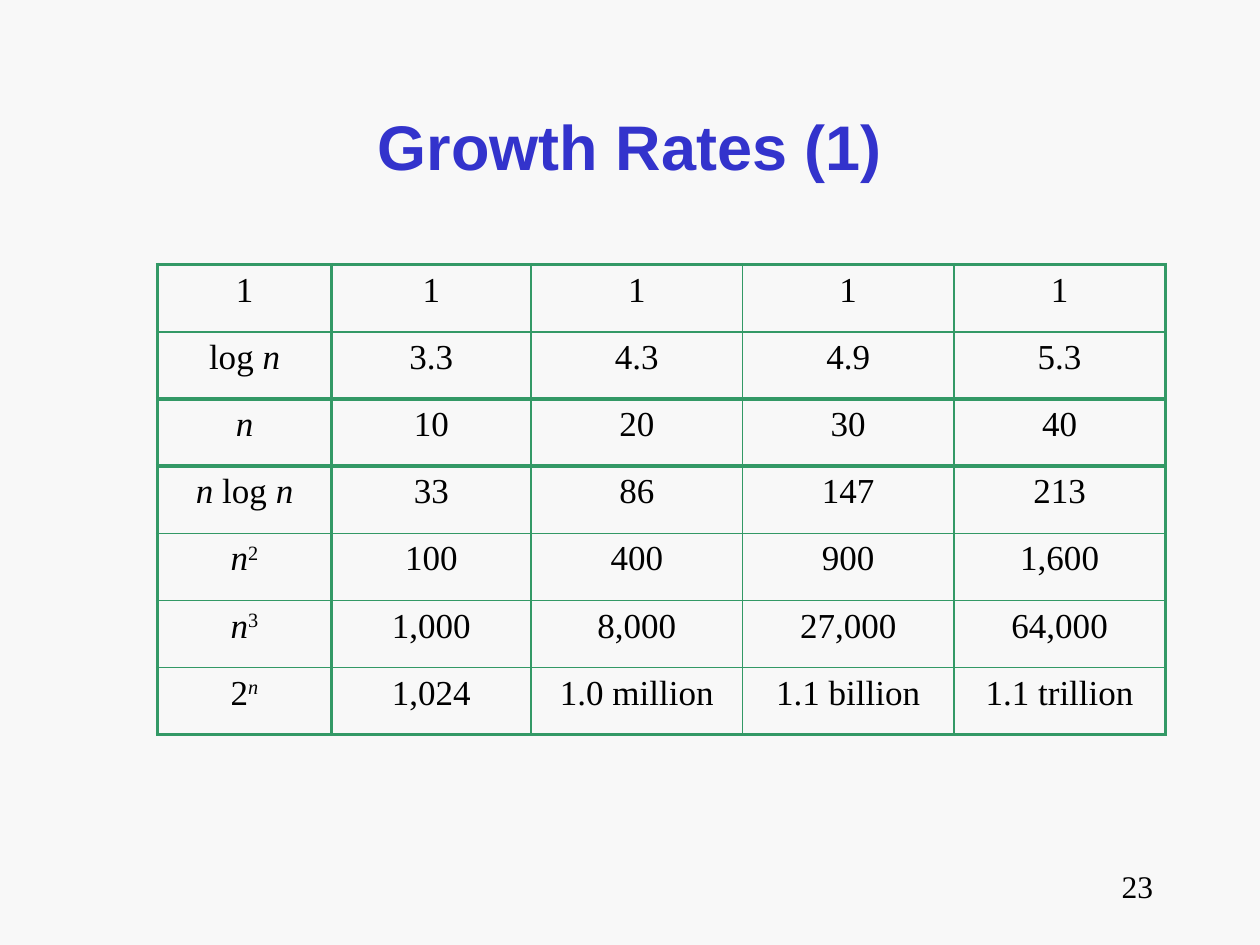
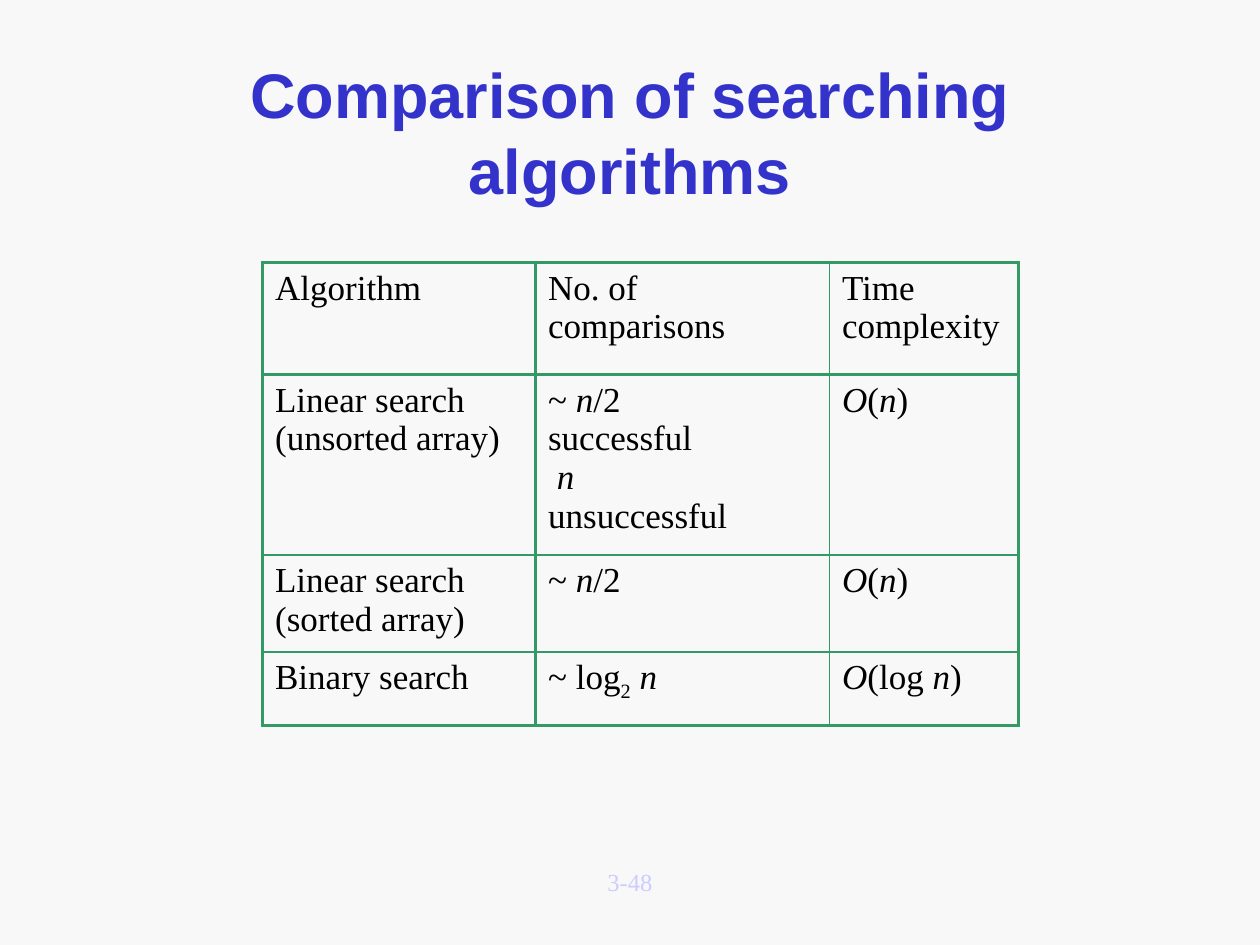
from dataclasses import dataclass

from lxml import etree
from pptx import Presentation
from pptx.dml.color import RGBColor
from pptx.enum.text import MSO_ANCHOR, PP_ALIGN
from pptx.oxml.ns import qn
from pptx.util import Pt

LEFT, CENTER, RIGHT = PP_ALIGN.LEFT, PP_ALIGN.CENTER, PP_ALIGN.RIGHT
TOP, MIDDLE = MSO_ANCHOR.TOP, MSO_ANCHOR.MIDDLE

# Shared look
PAPER, BLUE, GREEN, BLACK, PALE = "F8F8F8", "3333CC", "339966", "000000", "CCCCFF"
SANS, SERIF = "Arial", "Times New Roman"
THIN, THICK = 1, 2.25
RAISE = {"^": 30000, "_": -25000}


@dataclass
class Font:
    name: str
    size: float
    color: str
    bold: bool = False


@dataclass
class Label:
    text: str
    left: float
    top: float
    width: float
    height: float
    font: Font
    align: int
    anchor: int = TOP


@dataclass
class Grid:
    left: float
    top: float
    cols: list[float]
    rows: list[float]
    thick_x: set[int]
    thick_y: set[int]
    align: int
    cells: list[list[str]]


TITLE = Font(SANS, 36, BLUE, True)
BODY = Font(SERIF, 20, BLACK)


def paint(code: str) -> RGBColor:
    return RGBColor.from_string(code)


def style(run, font: Font) -> None:
    run.font.name, run.font.size, run.font.bold = font.name, Pt(font.size), font.bold
    run.font.color.rgb = paint(font.color)


def add_label(slide, label: Label) -> None:
    box = slide.shapes.add_textbox(
        Pt(label.left), Pt(label.top), Pt(label.width), Pt(label.height))
    frame = box.text_frame
    frame.word_wrap, frame.vertical_anchor = True, label.anchor
    frame.text = label.text
    para = frame.paragraphs[0]
    para.alignment = label.align
    style(para.runs[0], label.font)


def add_title(slide, text: str, height: float) -> None:
    add_label(slide, Label(text, 54, 48, 612, height, TITLE, CENTER, MIDDLE))


def fill_text(para, text: str) -> None:
    """Parts are split by |; a leading * is italic, ^ raised, _ lowered."""
    for part in text.split("|"):
        if part == "\n":
            para.add_line_break()
            continue
        run = para.add_run()
        run.text = part.lstrip("*^_")
        style(run, BODY)
        marks = part[:len(part) - len(run.text)]
        run.font.italic = "*" in marks
        for mark in marks.replace("*", ""):
            run.font._element.set("baseline", str(RAISE[mark]))


def set_edge(cell, side: str, width: float) -> None:
    props = cell._tc.get_or_add_tcPr()
    line = etree.SubElement(props, qn(f"a:ln{side}"), w=str(Pt(width)))
    fill = etree.SubElement(line, qn("a:solidFill"))
    etree.SubElement(fill, qn("a:srgbClr"), val=GREEN)


def add_grid(slide, grid: Grid) -> None:
    table = slide.shapes.add_table(
        len(grid.rows), len(grid.cols), Pt(grid.left), Pt(grid.top),
        Pt(sum(grid.cols)), Pt(sum(grid.rows))).table
    table.first_row = table.horz_banding = False
    for col, width in zip(table.columns, grid.cols):
        col.width = Pt(width)
    for row, height in zip(table.rows, grid.rows):
        row.height = Pt(height)
    for y, texts in enumerate(grid.cells):
        for x, text in enumerate(texts):
            cell = table.cell(y, x)
            para = cell.text_frame.paragraphs[0]
            para.alignment = grid.align
            fill_text(para, text)
            # Edges go before the fill in the cell properties
            for side, heavy in (("L", x in grid.thick_x), ("R", x + 1 in grid.thick_x),
                                ("T", y in grid.thick_y), ("B", y + 1 in grid.thick_y)):
                set_edge(cell, side, THICK if heavy else THIN)
            cell.fill.background()


def add_slide(deck):
    slide = deck.slides.add_slide(deck.slide_layouts[6])
    fill = slide.background.fill
    fill.solid()
    fill.fore_color.rgb = paint(PAPER)
    return slide


RATES = Grid(90, 151.2, [99.5, 114] + [120.83] * 3, [38.4] * 7, {0, 1, 5}, {0, 2, 3, 7}, CENTER, [
    ["1", "1", "1", "1", "1"],
    ["log |*n", "3.3", "4.3", "4.9", "5.3"],
    ["*n", "10", "20", "30", "40"],
    ["*n| log |*n", "33", "86", "147", "213"],
    ["*n|^2", "100", "400", "900", "1,600"],
    ["*n|^3", "1,000", "8,000", "27,000", "64,000"],
    ["2|^*n", "1,024", "1.0 million", "1.1 billion", "1.1 trillion"],
])

SEARCH = Grid(150, 150, [156, 168, 108], [64, 95.7, 55.2, 42], {0, 1, 3}, {0, 1, 4}, LEFT, [
    ["Algorithm", "No. of comparisons", "Time complexity"],
    ["Linear search|\n|(unsorted array)",
     "~ |*n|/2|\n|successful|\n| |*n|\n|unsuccessful", "*O|(|*n|)"],
    ["Linear search|\n|(sorted array)", "~ |*n|/2", "*O|(|*n|)"],
    ["Binary search", "~ log|_2| |*n", "*O|(log |*n|)"],
])


def main() -> None:
    deck = Presentation()
    deck.slide_width, deck.slide_height = Pt(720), Pt(540)

    # Growth rates
    slide = add_slide(deck)
    add_label(slide, Label("23", 516, 492, 150, 36, Font(SERIF, 18, BLACK), RIGHT))
    add_title(slide, "Growth Rates (1)", 70)
    add_grid(slide, RATES)

    # Searching algorithms
    slide = add_slide(deck)
    add_label(slide, Label("3-48", 246, 492, 228, 36, Font(SERIF, 14, PALE), CENTER))
    add_title(slide, "Comparison of searching algorithms", 54)
    add_grid(slide, SEARCH)

    deck.save("out.pptx")


if __name__ == "__main__":
    main()
